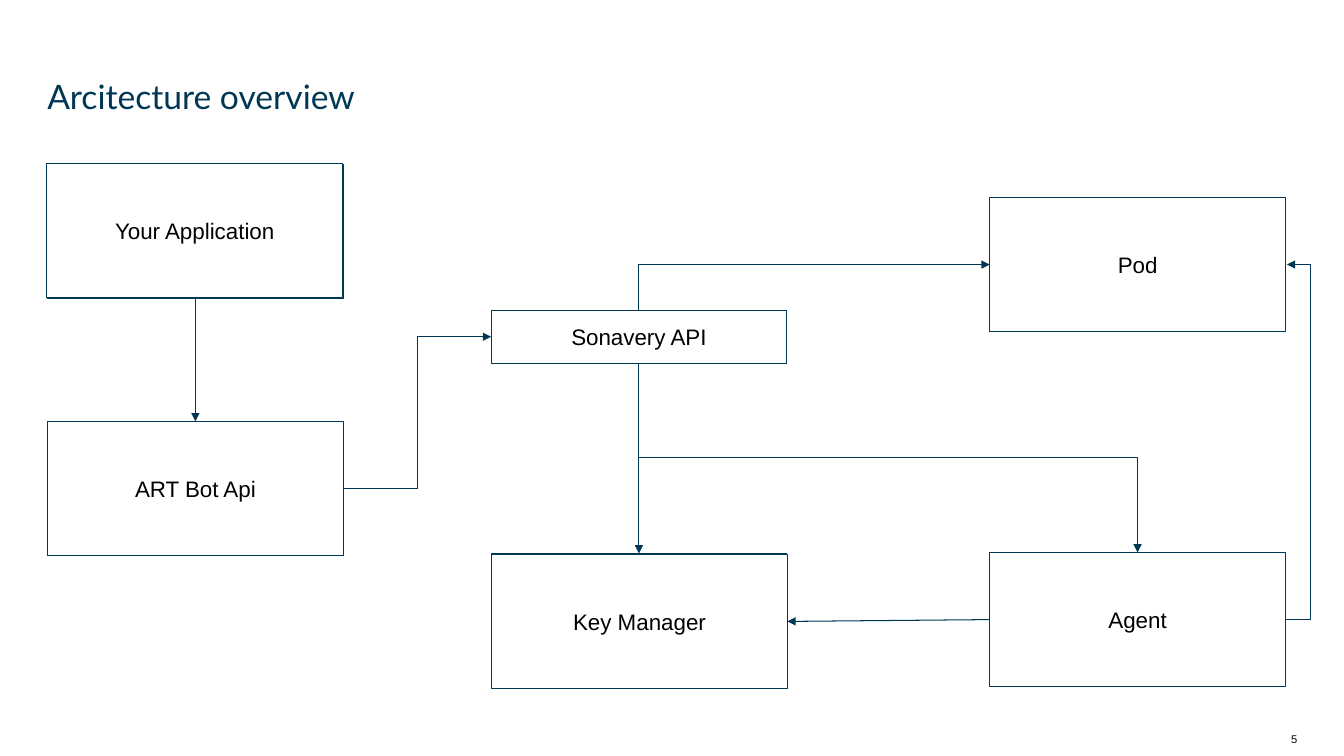
from pptx import Presentation
from pptx.dml.color import RGBColor
from pptx.enum import shapes as sh, text as tx
from pptx.oxml.ns import qn
from pptx.util import Pt
from lxml import etree

NAVY = RGBColor(0x00, 0x37, 0x55)
BLACK = RGBColor(0, 0, 0)
WHITE = RGBColor(0xFF, 0xFF, 0xFF)
TOP, LEFT, BOTTOM, RIGHT = range(4)

deck = Presentation()
deck.slide_width, deck.slide_height = Pt(960), Pt(540)
slide = deck.slides.add_slide(deck.slide_layouts[6])


def write(shape, words, size, font, color, align, anchor):
    frame = shape.text_frame
    form = dict(word_wrap=True, vertical_anchor=anchor, margin_left=0,
                margin_right=0, margin_top=0, margin_bottom=0)
    for key, value in form.items():
        setattr(frame, key, value)
    para = frame.paragraphs[0]
    para.alignment = align
    run = para.add_run()
    run.text = words
    run.font.size, run.font.name = Pt(size), font
    run.font.color.rgb = color
    return para


def link(start, out, end, into, kind="straight", turn=0, flips=""):
    """Glue an arrow to two box sides; turn and flips set how a bent one runs."""
    line = slide.shapes.add_connector(sh.MSO_CONNECTOR.STRAIGHT, 0, 0, 0, 0)
    line.begin_connect(start, out)
    line.end_connect(end, into)
    line.line.color.rgb, line.line.width = NAVY, Pt(0.75)
    props = line._element.spPr
    if kind != "straight":
        props.find(qn("a:prstGeom")).set("prst", kind)
        frame = props.find(qn("a:xfrm"))
        frame.set("rot", str(turn * 60000))
        for axis in "HV":
            frame.set("flip" + axis, str(int(axis in flips)))
    if turn:
        wide, high = line.width, line.height
        line.left += (wide - high) // 2
        line.top += (high - wide) // 2
        line.width, line.height = high, wide
    etree.SubElement(props.find(qn("a:ln")), qn("a:tailEnd"), type="triangle")
    etree.SubElement(props, qn("a:effectLst"))
    return line


title = slide.shapes.add_textbox(Pt(33.8), Pt(57.6), Pt(892), Pt(26))
para = write(title, "Arcitecture overview", 24, "Lato", NAVY,
             tx.PP_ALIGN.LEFT, tx.MSO_ANCHOR.TOP)
para.line_spacing = 0.9

page = slide.shapes.add_textbox(Pt(870.5), Pt(523), Pt(56.2), Pt(9.4))
write(page, "5", 8, "Arial", BLACK, tx.PP_ALIGN.RIGHT, tx.MSO_ANCHOR.BOTTOM)

# Boxes from back to front: name, label, left, top, height
boxes = {}
for name, label, x, y, high in [
    ("api", "Sonavery API", 350.8, 221.6, 38),
    ("bot", "ART Bot Api", 34, 301, 96),
    ("app back", "", 34, 117.4, 96),
    ("pod", "Pod", 707, 141, 96),
    ("agent", "Agent", 707, 394.6, 96),
    ("key back", "", 350.8, 395.3, 96),
    ("app", "Your Application", 33.5, 116.8, 96),
    ("key", "Key Manager", 351.2, 395.9, 96),
]:
    box = slide.shapes.add_shape(sh.MSO_SHAPE.RECTANGLE,
                                 Pt(x), Pt(y), Pt(211.2), Pt(high))
    box.shadow.inherit = False
    box.fill.solid()
    box.fill.fore_color.rgb = WHITE
    box.line.color.rgb, box.line.width = NAVY, Pt(0.75)
    if label:
        write(box, label, 16, "Arial", BLACK,
              tx.PP_ALIGN.CENTER, tx.MSO_ANCHOR.MIDDLE)
    boxes[name] = box

api, bot, pod, agent = (boxes[n] for n in ("api", "bot", "pod", "agent"))
link(boxes["app back"], BOTTOM, bot, TOP)
link(bot, RIGHT, api, LEFT, "bentConnector3", flips="V")
link(api, BOTTOM, boxes["key back"], TOP)
link(api, BOTTOM, agent, TOP, "bentConnector3", 270, "H")
link(api, TOP, pod, LEFT, "bentConnector2", 90, "HV")
link(agent, LEFT, boxes["key"], RIGHT)

# The loop bends 18 pt outside the boxes: 18 times its 1 pt width
loop = link(agent, RIGHT, pod, RIGHT, "bentConnector3", flips="V")
loop.width = Pt(1)
bends = loop._element.spPr.find(qn("a:prstGeom")).find(qn("a:avLst"))
etree.SubElement(bends, qn("a:gd"), name="adj1", fmla="val 1800000")

deck.save("out.pptx")
